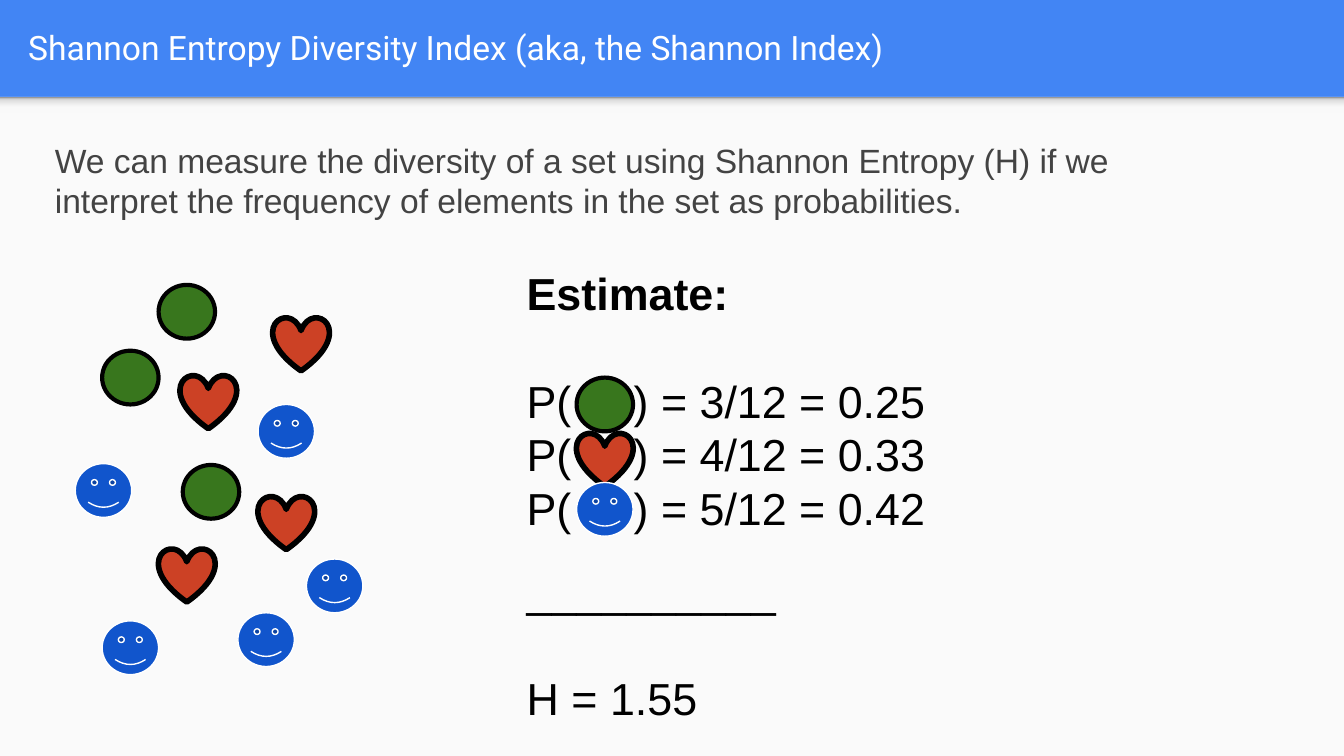
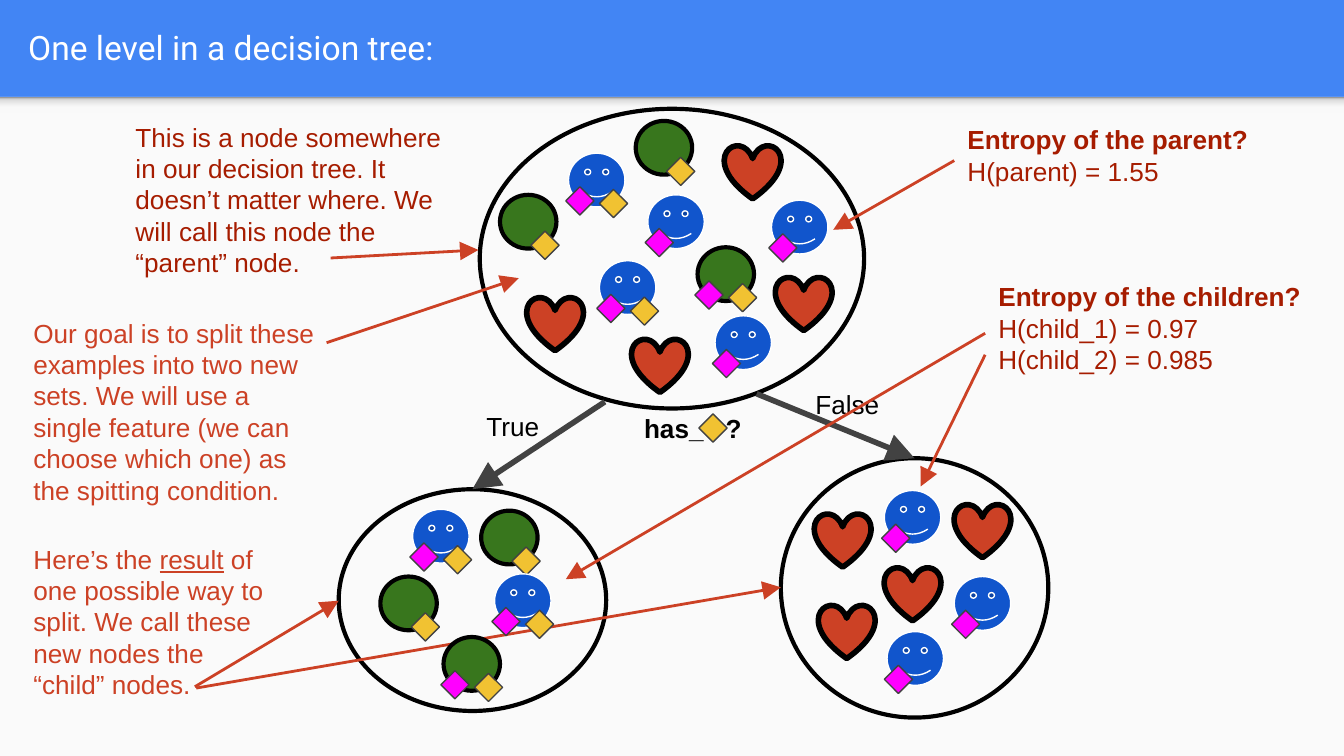
from lxml import etree
from pptx import Presentation
from pptx.dml.color import RGBColor
from pptx.enum.shapes import MSO_CONNECTOR as Line, MSO_SHAPE as Shape
from pptx.enum.text import MSO_ANCHOR as Anchor, MSO_AUTO_SIZE as AutoSize, PP_ALIGN as Align
from pptx.oxml import parse_xml
from pptx.oxml.ns import nsdecls, qn
from pptx.util import Inches, Pt

COLORS = {
    "band": "4285F4", "panel": "FAFAFA", "white": "FFFFFF", "black": "000000",
    "body": "434343", "dark": "424242", "green": "38761D", "blue": "1155CC",
    "red": "CC4125", "deep_red": "A61C00", "gold": "F1C232", "pink": "FF00FF",
}
SHADE_STOPS = [(0, "F9F9F9"), (36, "F9F9F9"), (80, "DEDEDE"), (100, "999999")]

# kind: preset shape, fill, line colour, line width
SYMBOLS = {
    "circle": (Shape.OVAL, "green", "black", 2.25),
    "smiley": (Shape.SMILEY_FACE, "blue", "white", 0.75),
    "heart": (Shape.HEART, "red", "black", 3),
}
SYMBOL_SIZE = (0.42, 0.4)
TAG_SIZE = (0.21, 0.21)
TAG_OFFSETS = {"gold": (0.23, 0.27), "pink": (-0.02, 0.25)}
BOTH = ("gold", "pink")
SECTION_GAP = Pt(28.7)


def color(name):
    return RGBColor.from_string(COLORS[name])


def add_shape(parent, preset, box, fill=None, line=None, width=1):
    shape = parent.shapes.add_shape(preset, *map(Inches, box))
    shape.shadow.inherit = False
    if fill:
        shape.fill.solid()
        shape.fill.fore_color.rgb = color(fill)
    else:
        shape.fill.background()
    if line:
        shape.line.color.rgb = color(line)
        shape.line.width = Pt(width)
    else:
        shape.line.fill.background()
    return shape


def format_frame(frame, anchor=Anchor.TOP):
    settings = {"word_wrap": True, "auto_size": AutoSize.NONE, "vertical_anchor": anchor}
    settings.update({f"margin_{side}": Inches(0.1) for side in ("left", "top", "right", "bottom")})
    for name, value in settings.items():
        setattr(frame, name, value)


def add_span(para, text, ink, size, font="Arial", spread=0, **styles):
    """Spread is extra room after each letter, in points."""
    span = para.add_run()
    span.text = text
    span.font.color.rgb = color(ink)
    for name, value in {"name": font, "size": Pt(size), **styles}.items():
        setattr(span.font, name, value)
    if spread:
        span._r.get_or_add_rPr().set("spc", str(round(spread * 100)))


def add_text(page, box, lines, ink="black", size=14, **para_format):
    """Each line is a list of (text, font styles) spans."""
    text_box = page.shapes.add_textbox(*map(Inches, box))
    frame = text_box.text_frame
    format_frame(frame)
    for index, spans in enumerate(lines):
        para = frame.paragraphs[0] if index == 0 else frame.add_paragraph()
        for name, value in para_format.items():
            setattr(para, name, value)
        for text, styles in spans:
            add_span(para, text, ink, size, **styles)
    return text_box


def plain(*texts):
    return [[(text, {})] for text in texts]


def headed(heading, *texts):
    return [[(heading, {"bold": True})]] + plain(*texts)


def with_gap(before, after, spread, **styles):
    """A line with room for a symbol between two pieces of text."""
    return [(before, styles), (" ", {"spread": spread, **styles}), (after, styles)]


def add_arrow(page, start, end, ink="red", width=1.5, source=None, target=None):
    """Source and target are optional (shape, connection site) pairs."""
    arrow = page.shapes.add_connector(Line.STRAIGHT, *map(Inches, start + end))
    if source:
        arrow.begin_connect(*source)
    if target:
        arrow.end_connect(*target)
    arrow.line.color.rgb = color(ink)
    arrow.line.width = Pt(width)
    etree.SubElement(arrow.line._get_or_add_ln(), qn("a:tailEnd"),
                     type="triangle", w="lg", len="lg")
    etree.SubElement(arrow._element.spPr, qn("a:effectLst"))


def add_tag(parent, left, top, ink):
    add_shape(parent, Shape.DIAMOND, (left, top, *TAG_SIZE), ink, "dark", 0.75)


def add_symbols(page, box, symbols):
    """Each symbol is (kind, left, top, *tags), measured from the box corner."""
    for kind, dx, dy, *tags in symbols:
        left, top = box[0] + dx, box[1] + dy
        parent = page.shapes.add_group_shape() if tags else page
        preset, *look = SYMBOLS[kind]
        add_shape(parent, preset, (left, top, *SYMBOL_SIZE), *look)
        for tag in tags:
            shift_x, shift_y = TAG_OFFSETS[tag]
            add_tag(parent, left + shift_x, top + shift_y, tag)


def add_page(deck, heading):
    page = deck.slides.add_slide(deck.slide_layouts[5])
    page.background.fill.solid()
    page.background.fill.fore_color.rgb = color("band")

    # Light panel and the shade under the title band
    add_shape(page, Shape.RECTANGLE, (0, 0.72, 10, 4.91), "panel")
    shade = add_shape(page, Shape.RECTANGLE, (0, 0.72, 10, 0.12))
    stops = "".join(f'<a:gs pos="{pos * 1000}"><a:srgbClr val="{tone}"/></a:gs>'
                    for pos, tone in SHADE_STOPS)
    gradient = parse_xml(f'<a:gradFill {nsdecls("a")}><a:gsLst>{stops}</a:gsLst>'
                         '<a:lin ang="16200000" scaled="0"/></a:gradFill>')
    props = shade._element.spPr
    props.replace(props.find(qn("a:noFill")), gradient)

    # Title
    title = page.shapes.title
    for name, value in zip(("left", "top", "width", "height"), (0.11, 0.02, 9.65, 0.66)):
        setattr(title, name, Inches(value))
    format_frame(title.text_frame, Anchor.MIDDLE)
    para = title.text_frame.paragraphs[0]
    para.alignment = Align.LEFT
    add_span(para, heading, "white", 18, "Roboto")
    return page


def add_estimate(page, box):
    left, top, width, _ = box
    rows = [with_gap("P(", f") = {share}", 26.7)
            for share in ("3/12 = 0.25", "4/12 = 0.33", "5/12 = 0.42")]
    estimate = add_text(page, (left, top, width, 2.6), headed("Estimate:") + rows, size=24)
    add_symbols(page, box, [("circle", 0.47, 0.93), ("heart", 0.47, 1.34),
                            ("smiley", 0.47, 1.71)])

    # Resulting entropy
    result = add_text(page, (left, top + 2.21, 3.19, 1.33),
                      plain("__________", "H = 1.55"), size=24)
    for text_box in (estimate, result):
        text_box.text_frame.paragraphs[0].space_after = SECTION_GAP


def build_index_page(deck):
    page = add_page(deck, "Shannon Entropy Diversity Index (aka, the Shannon Index)")
    add_text(page, (0.31, 0.94, 8.9, 1.16), plain(
        "We can measure the diversity of a set using Shannon Entropy (H) if we "
        "interpret the frequency of elements in the set as probabilities."), "body", 18)
    add_symbols(page, (0.56, 2.12), [
        ("circle", 0.62, 0), ("circle", 0.2, 0.49), ("circle", 0.8, 1.34),
        ("smiley", 0, 1.33), ("smiley", 0.2, 2.5), ("smiley", 1.21, 2.44),
        ("smiley", 1.36, 0.89), ("smiley", 1.72, 2.04),
        ("heart", 1.47, 0.24), ("heart", 0.62, 1.96), ("heart", 0.78, 0.67),
        ("heart", 1.36, 1.57),
    ])
    add_estimate(page, (3.82, 1.88, 4.49, 3.54))


# Tree nodes: box and the examples inside
NODES = {
    "true_child": ((2.52, 3.64, 1.99, 1.65), [
        ("circle", 1.06, 0.16, "gold"), ("circle", 0.31, 0.65, "gold"),
        ("smiley", 0.55, 0.15, *BOTH), ("smiley", 1.16, 0.63, *BOTH),
        ("circle", 0.78, 1.1, *BOTH)]),
    "false_child": ((5.81, 3.41, 1.99, 1.93), [
        ("heart", 0.77, 0.81), ("heart", 0.28, 1.09), ("heart", 0.25, 0.41),
        ("heart", 1.29, 0.34), ("smiley", 0.79, 1.29, "pink"),
        ("smiley", 1.29, 0.88, "pink"), ("smiley", 0.77, 0.24, "pink")]),
    "parent": ((3.57, 0.81, 2.86, 2.23), [
        ("circle", 1.16, 0.09, "gold"), ("circle", 0.15, 0.64, "gold"),
        ("smiley", 0.66, 0.33, *BOTH), ("smiley", 0.89, 1.13, *BOTH),
        ("circle", 1.62, 1.03, *BOTH), ("heart", 1.82, 0.27), ("heart", 1.13, 1.71),
        ("heart", 2.2, 1.25), ("heart", 0.35, 1.4), ("smiley", 1.75, 1.54, "pink"),
        ("smiley", 2.17, 0.68, "pink"), ("smiley", 1.25, 0.64, "pink")]),
}


def add_split(page, box, ovals):
    """Question below the parent and the branches to both children."""
    left, top = box
    add_arrow(page, (4.5, 2.99), (3.51, 3.64), "dark", 3, target=(ovals["true_child"], 0))
    add_arrow(page, (5.63, 2.93), (6.81, 3.41), "dark", 3, target=(ovals["false_child"], 0))
    add_text(page, (left + 1.19, top + 0.18, 1.29, 0.48),
             [with_gap("has_", "?", 7.8, bold=True)], alignment=Align.CENTER)
    add_tag(page, left + 1.88, top + 0.29, "gold")
    for label, dx, dy in (("True", 0, 0.16), ("False", 2.49, 0)):
        add_text(page, (left + dx, top + dy, 0.99, 0.48), plain(label), alignment=Align.CENTER)


def add_explanations(page):
    add_text(page, (0.91, 0.8, 2.53, 1.31), plain(
        "This is a node somewhere in our decision tree. It doesn’t matter where. "
        "We will call this node the “parent” node."), "deep_red")
    add_text(page, (0.15, 2.26, 2.37, 1.57), plain(
        "Our goal is to split these examples into two new sets. We will use a single "
        "feature (we can choose which one) as the spitting condition."), "red")
    add_text(page, (0.15, 3.94, 1.92, 1.36), [[
        ("Here’s the ", {}), ("result", {"underline": True}),
        (" of one possible way to split. We call these new nodes the “child” nodes.", {}),
    ]], "red")
    for start, end in (((2.46, 1.92), (3.56, 1.86)), ((2.43, 2.55), (3.86, 2.07)),
                       ((1.45, 5.11), (2.52, 4.47)), ((1.46, 5.12), (5.81, 4.37))):
        add_arrow(page, start, end)


def add_entropies(page):
    parent_note = add_text(page, (7.1, 0.82, 2.53, 0.75), headed(
        "Entropy of the parent?", "H(parent) = 1.55"), "deep_red")
    add_text(page, (7.33, 1.99, 2.53, 1.14), headed(
        "Entropy of the children?", "H(child_1) = 0.97", "H(child_2) = 0.985"), "deep_red")
    add_arrow(page, (7.1, 1.19), (6.2, 1.71), source=(parent_note, 1))
    add_arrow(page, (7.33, 2.48), (4.21, 4.31))
    add_arrow(page, (7.33, 2.64), (6.85, 3.62))


def build_tree_page(deck):
    page = add_page(deck, "One level in a decision tree:")
    ovals = {name: add_shape(page, Shape.OVAL, box, line="black", width=2.25)
             for name, (box, _) in NODES.items()}
    add_split(page, (3.32, 2.79), ovals)
    add_explanations(page)
    for box, symbols in NODES.values():
        add_symbols(page, box, symbols)
    add_entropies(page)


def main():
    deck = Presentation()
    # Widescreen, 16:9
    deck.slide_width = Inches(10)
    deck.slide_height = Inches(10 * 9 / 16)
    build_index_page(deck)
    build_tree_page(deck)
    deck.save("out.pptx")


if __name__ == "__main__":
    main()
